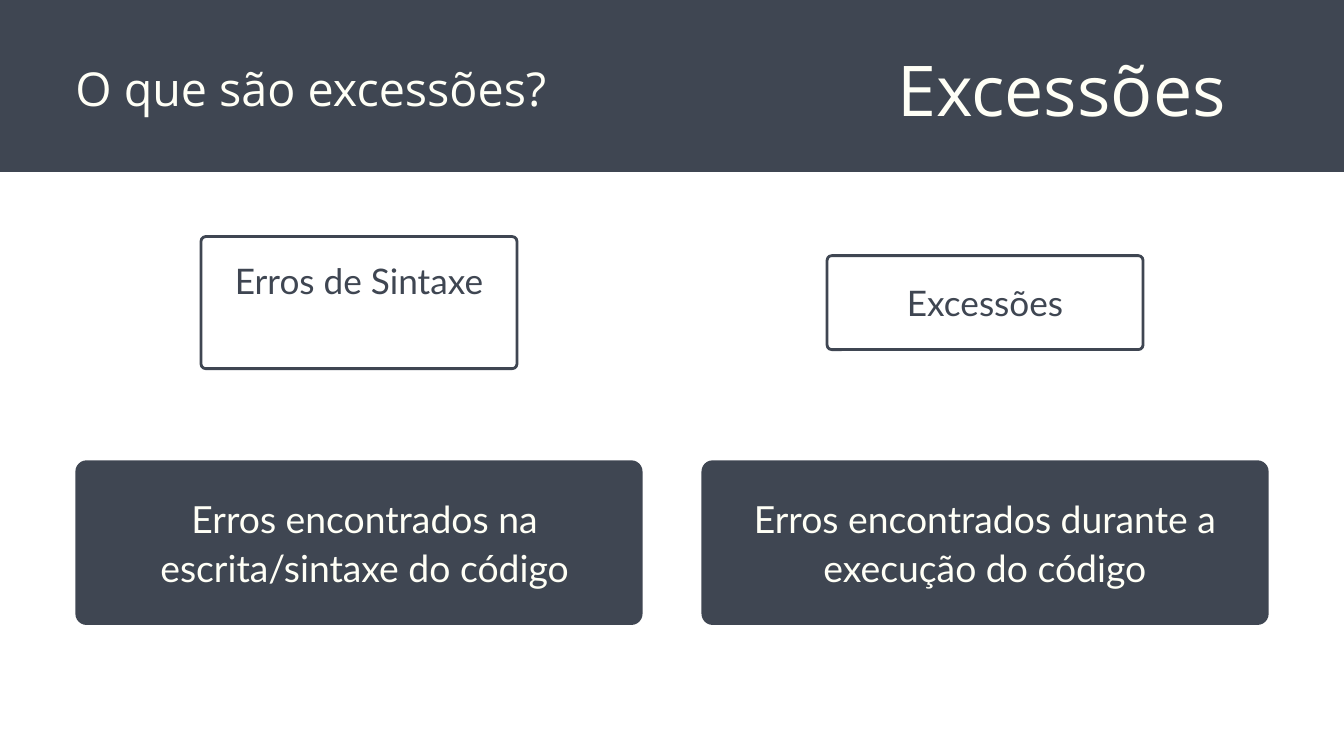
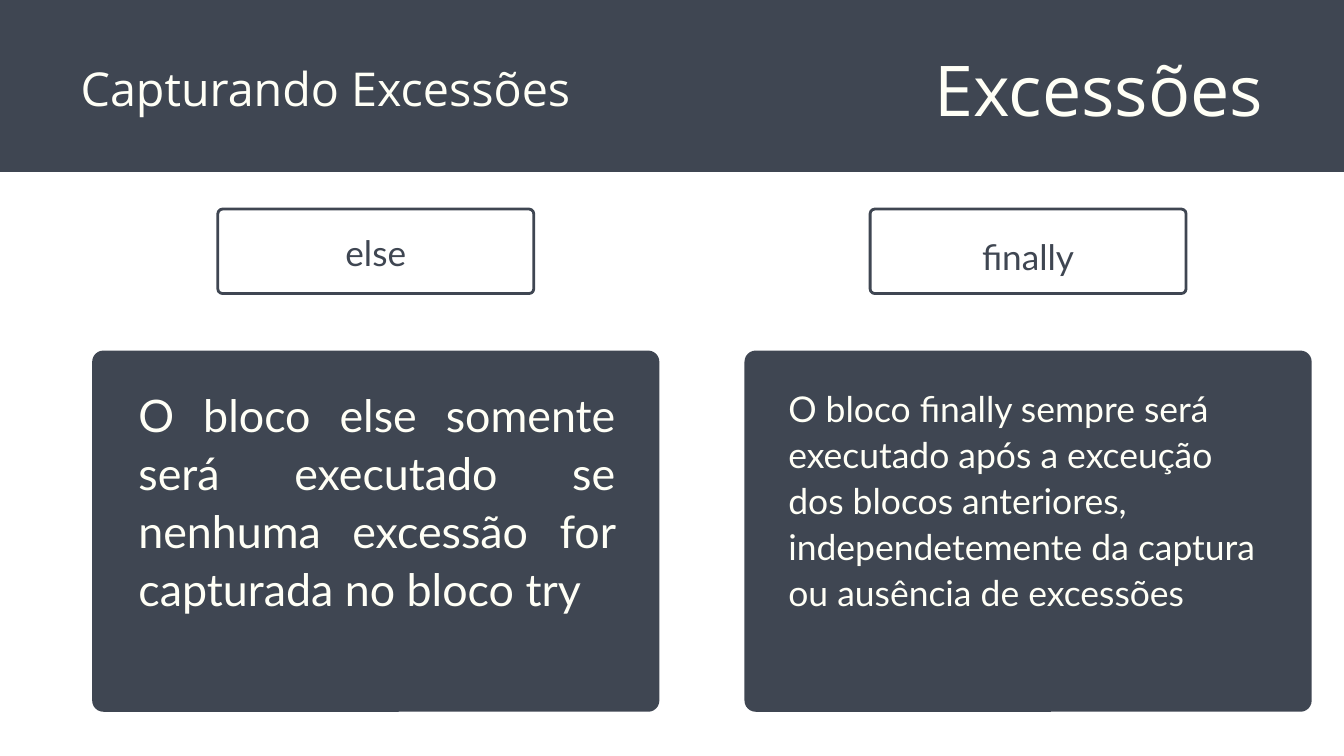
from dataclasses import dataclass

from pptx import Presentation
from pptx.dml.color import RGBColor
from pptx.enum.shapes import MSO_SHAPE
from pptx.enum.text import MSO_ANCHOR, MSO_AUTO_SIZE, PP_ALIGN
from pptx.shapes.autoshape import Shape
from pptx.slide import Slide
from pptx.util import Pt

SLATE = RGBColor(0x3F, 0x46, 0x52)
CREAM = RGBColor(0xFF, 0xFF, 0xF6)
WHITE = RGBColor(0xFF, 0xFF, 0xFF)
HEADING_FONT = "Open Sans"
BODY_FONT = "Lato"

SLIDE_W, SLIDE_H = 1440, 810
BAND_H = 184.3
PANEL_W, PANEL_RADIUS = 607.7, 12
LABEL_W, LABEL_RADIUS, LABEL_LINE = 341.5, 5, 3
LABEL_TEXT_W = 293
TOPIC = "Excessões"


@dataclass
class Label:
    text: str
    top: float
    height: float
    text_top: float


@dataclass
class Body:
    text: str
    left: float
    top: float
    width: float
    height: float
    size: float = 40
    align: PP_ALIGN = PP_ALIGN.CENTER


@dataclass
class Column:
    left: float
    label: Label
    body: Body


@dataclass
class Page:
    title: str
    title_left: float
    topic_left: float
    topic_width: float
    panel_top: float
    panel_height: float
    columns: list[Column]


PAGES = [
    Page("O que são excessões?", 80.8, 934.6, 405.4, 493.2, 176.4, [
        Column(80.8, Label("Erros de Sintaxe", 252, 144.5, 273.6),
               Body("Erros encontrados na escrita/sintaxe do código",
                    143.3, 527.8, 494.6, 103.7)),
        Column(751.6, Label(TOPIC, 272.4, 103.7, 298.1),
               Body("Erros encontrados durante a execução do código",
                    798.5, 527.8, 513.4, 103.7)),
    ]),
    Page("Capturando Excessões", 86.4, 996.5, 362.2, 375.6, 387, [
        Column(98.8, Label("else", 222.5, 93.5, 244.1),
               Body("O bloco else somente será executado se nenhuma "
                    "excessão for capturada no bloco try",
                    148.3, 410.4, 511.2, 311, 48, PP_ALIGN.JUSTIFY)),
        Column(797.7, Label("finally", 222.5, 93.5, 248.4),
               Body("O bloco finally sempre será executado após a exceução "
                    "dos blocos anteriores, independetemente da captura "
                    "ou ausência de excessões",
                    844.6, 410.4, 514.1, 296.6, 38, PP_ALIGN.LEFT)),
    ]),
]


def place(sp: Shape, left: float, top: float, width: float, height: float) -> None:
    sp.left, sp.top, sp.width, sp.height = map(Pt, (left, top, width, height))


def write(sp: Shape, text: str, *, size: float, spacing: float,
          font: str = BODY_FONT, color: RGBColor = CREAM,
          align: PP_ALIGN = PP_ALIGN.CENTER) -> None:
    tf = sp.text_frame
    tf.word_wrap = True
    tf.auto_size = MSO_AUTO_SIZE.NONE
    tf.vertical_anchor = MSO_ANCHOR.TOP
    tf.margin_left = tf.margin_top = tf.margin_right = tf.margin_bottom = 0
    p = tf.paragraphs[0]
    p.alignment = align
    p.line_spacing = Pt(spacing)
    r = p.add_run()
    r.text = text
    r.font.name = font
    r.font.size = Pt(size)
    r.font.color.rgb = color


def add_text(s: Slide, text: str, left: float, top: float, width: float,
             height: float, **style) -> None:
    sp = s.shapes.add_textbox(Pt(left), Pt(top), Pt(width), Pt(height))
    write(sp, text, **style)


def add_box(s: Slide, left: float, top: float, width: float, height: float,
            *, radius: float = 0, outlined: bool = False) -> None:
    """Draw a slate box, or a white one whose outline stays inside its bounds."""
    inset = LABEL_LINE / 2 if outlined else 0
    width, height = width - 2 * inset, height - 2 * inset
    kind = MSO_SHAPE.ROUNDED_RECTANGLE if radius else MSO_SHAPE.RECTANGLE
    sp = s.shapes.add_shape(kind, Pt(left + inset), Pt(top + inset),
                            Pt(width), Pt(height))
    sp.shadow.inherit = False
    if radius:
        sp.adjustments[0] = radius / min(width, height)
    sp.fill.solid()
    sp.fill.fore_color.rgb = WHITE if outlined else SLATE
    if outlined:
        sp.line.color.rgb = SLATE
        sp.line.width = Pt(LABEL_LINE)
    else:
        sp.line.fill.background()


def add_header(s: Slide, page: Page) -> None:
    add_box(s, 0, 0, SLIDE_W, BAND_H)
    add_text(s, TOPIC, page.topic_left, 35.3, page.topic_width, 102.2,
             size=75, spacing=105, font=HEADING_FONT)
    title = s.shapes.title
    s.shapes.element.append(title.element)  # bring in front of the band
    place(title, page.title_left, 54, 534.2, 68.4)
    write(title, page.title, size=50, spacing=70, font=HEADING_FONT,
          align=PP_ALIGN.LEFT)


def add_column(s: Slide, page: Page, column: Column) -> None:
    """Draw a panel with its label centred above it."""
    label, body = column.label, column.body
    center = column.left + PANEL_W / 2
    add_box(s, center - LABEL_W / 2, label.top, LABEL_W, label.height,
            radius=LABEL_RADIUS, outlined=True)
    add_box(s, column.left, page.panel_top, PANEL_W, page.panel_height,
            radius=PANEL_RADIUS)
    add_text(s, label.text, center - LABEL_TEXT_W / 2, label.text_top,
             LABEL_TEXT_W, 49, size=37.7, spacing=49, color=SLATE)
    add_text(s, body.text, body.left, body.top, body.width, body.height,
             size=body.size, spacing=body.size * 1.3, align=body.align)


def main() -> None:
    prs = Presentation()
    prs.slide_width, prs.slide_height = Pt(SLIDE_W), Pt(SLIDE_H)
    title_only = prs.slide_layouts.get_by_name("Title Only")
    for page in PAGES:
        s = prs.slides.add_slide(title_only)
        for column in page.columns:
            add_column(s, page, column)
        add_header(s, page)
    prs.save("out.pptx")


if __name__ == "__main__":
    main()
